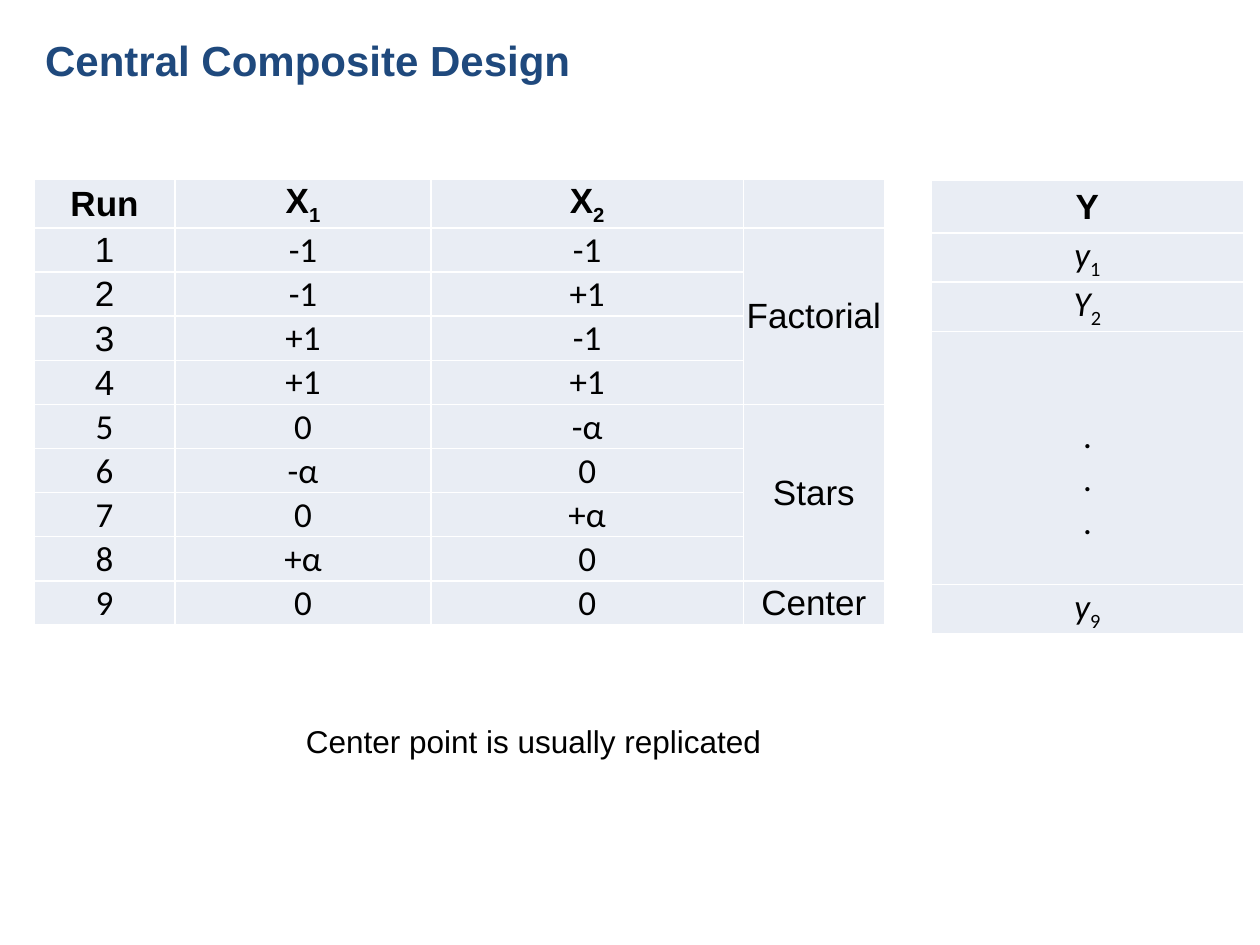
from pptx import Presentation
from pptx import util as u
from pptx.dml.color import RGBColor
from pptx.enum import text as t
from pptx.oxml import parse_xml
from pptx.oxml.ns import nsdecls

RUNS = [
    ["Run", "X_1", "X_2", ""],
    ["1", "-1", "-1", "Factorial"],
    ["2", "-1", "+1", ""],
    ["3", "+1", "-1", ""],
    ["4", "+1", "+1", ""],
    ["5", "0", "-α", "Stars"],
    ["6", "-α", "0", ""],
    ["7", "0", "+α", ""],
    ["8", "+α", "0", ""],
    ["9", "0", "0", "Center"],
]
YIELDS = [["Y"], ["y_1"], ["Y_2"], [".\n.\n."], ["y_9"]]


def color(code):
    return RGBColor.from_string(code)


def style(obj, form):
    for key, val in form.items():
        setattr(obj, key, val)


def add_run(para, words, size, tone="000000", **form):
    run = para.add_run()
    run.text = words
    style(run.font, {"name": "Arial", "size": u.Pt(size), **form})
    run.font.color.rgb = color(tone)
    return run


def add_label(slide, box, words, size, wrap, **form):
    """A one-line text box; returns its frame."""
    frame = slide.shapes.add_textbox(*map(u.Inches, box)).text_frame
    frame.word_wrap = wrap
    add_run(frame.paragraphs[0], words, size, **form)
    return frame


def set_edges(cell):
    props = cell._tc.get_or_add_tcPr()
    for i, side in enumerate("LRTB"):
        props.insert(i, parse_xml(
            f'<a:ln{side} {nsdecls("a")} w="12700"><a:solidFill>'
            f'<a:srgbClr val="FFFFFF"/></a:solidFill></a:ln{side}>'))


def fill_cell(cell, words, **form):
    """Text after an underscore becomes a subscript."""
    style(cell, {"margin_left": u.Inches(0.01), "margin_right": u.Inches(0.01),
                 "margin_top": u.Inches(0.01), "margin_bottom": 0,
                 "vertical_anchor": t.MSO_ANCHOR.MIDDLE})
    cell.fill.solid()
    cell.fill.fore_color.rgb = color("E9EDF4")
    set_edges(cell)
    frame = cell.text_frame
    for i, line in enumerate(words.split("\n")):
        para = frame.add_paragraph() if i else frame.paragraphs[0]
        para.alignment = t.PP_ALIGN.CENTER
        base, _, sub = line.partition("_")
        if base:
            add_run(para, base, 20, **form)
        if sub:
            low = add_run(para, sub, 20, **{**form, "italic": False})
            low._r.get_or_add_rPr().set("baseline", "-25000")


def add_grid(slide, left, top, cols, rows, data, look):
    """A table whose cell fonts come from look(row, column)."""
    box = map(u.Inches, (left, top, sum(cols), sum(rows)))
    grid = slide.shapes.add_table(len(rows), len(cols), *box).table
    for col, wide in zip(grid.columns, cols):
        col.width = u.Inches(wide)
    for row, high in zip(grid.rows, rows):
        row.height = u.Inches(high)
    for r, line in enumerate(data):
        for c, words in enumerate(line):
            fill_cell(grid.cell(r, c), words, **look(r, c))
    return grid


def run_look(r, c):
    arial = r == 0 or c == 3 or (c == 0 and r < 5)
    return {"name": "Arial" if arial else "Calibri", "bold": r == 0}


def yield_look(r, c):
    return {"name": "Calibri" if r else "Arial", "bold": r == 0,
            "italic": r in (1, 2, 4)}


def add_design(slide, left, top):
    grid = add_grid(slide, left, top, [1.12, 2.03, 2.48, 1.12],
                    [0.38] + [0.35] * 9, RUNS, run_look)
    for first in (1, 5):
        grid.cell(first, 3).merge(grid.cell(first + 3, 3))


def add_yields(slide, left, top):
    grid = add_grid(slide, left, top, [2.48],
                    [0.42, 0.39, 0.39, 2.01, 0.38], YIELDS, yield_look)
    grid.cell(3, 0).margin_top = u.Inches(0.34)  # dots sit below the middle


def main():
    deck = Presentation()
    deck.slide_width, deck.slide_height = u.Inches(10), u.Inches(7.5)
    slide = deck.slides.add_slide(deck.slide_layouts[6])
    # Title
    title = add_label(slide, (0.26, 0.29, 9.59, 0.45),
                      "Central Composite Design", 24, True,
                      tone="1F497D", bold=True)
    title.vertical_anchor = t.MSO_ANCHOR.MIDDLE
    title.paragraphs[0].line_spacing = u.Pt(22.5)
    # Tables
    add_design(slide, 0.27, 1.42)
    add_yields(slide, 7.39, 1.43)
    # Remark
    add_label(slide, (2.33, 5.68, 3.85, 0.4),
              "Center point is usually replicated", 18, False)
    deck.save("out.pptx")


if __name__ == "__main__":
    main()
